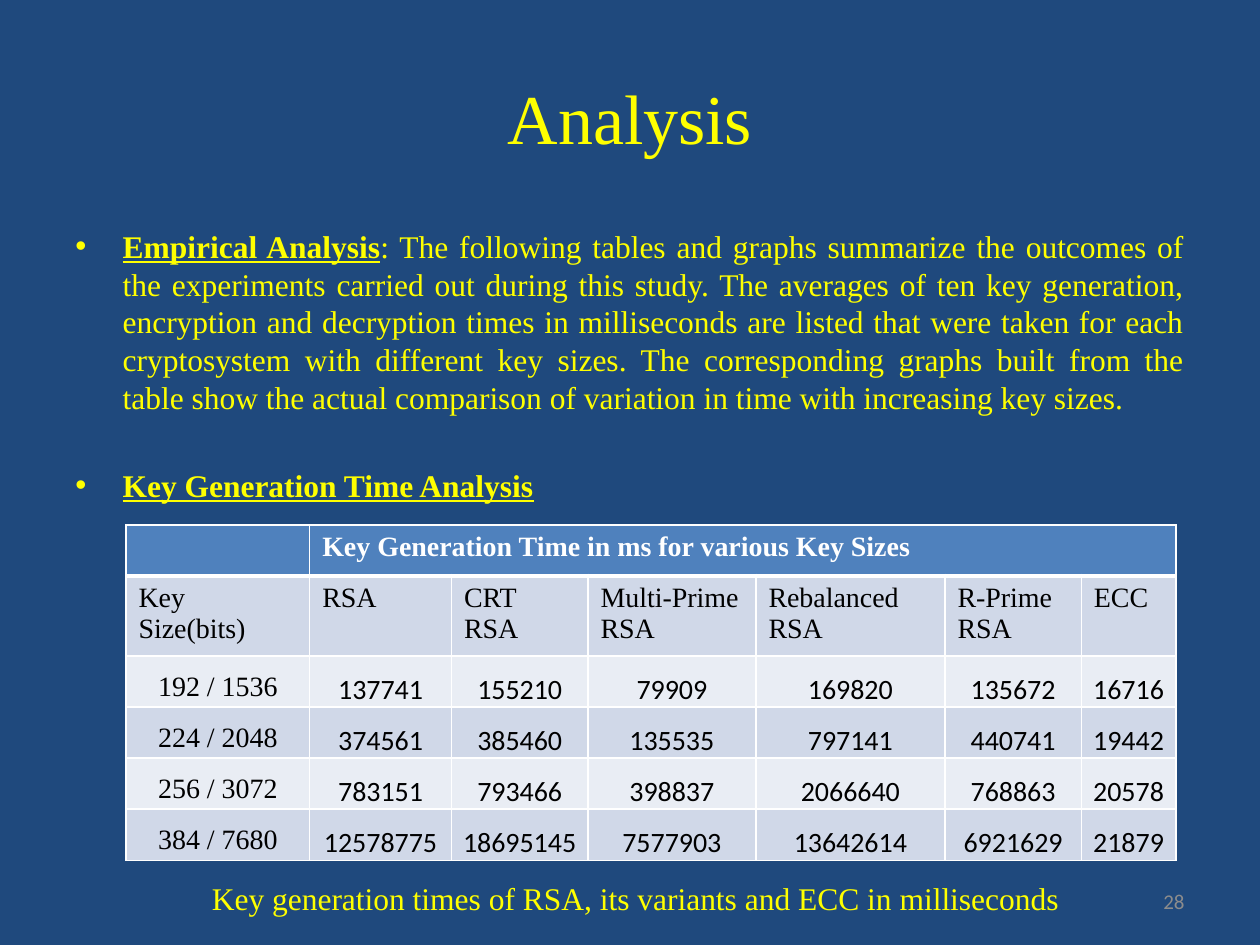
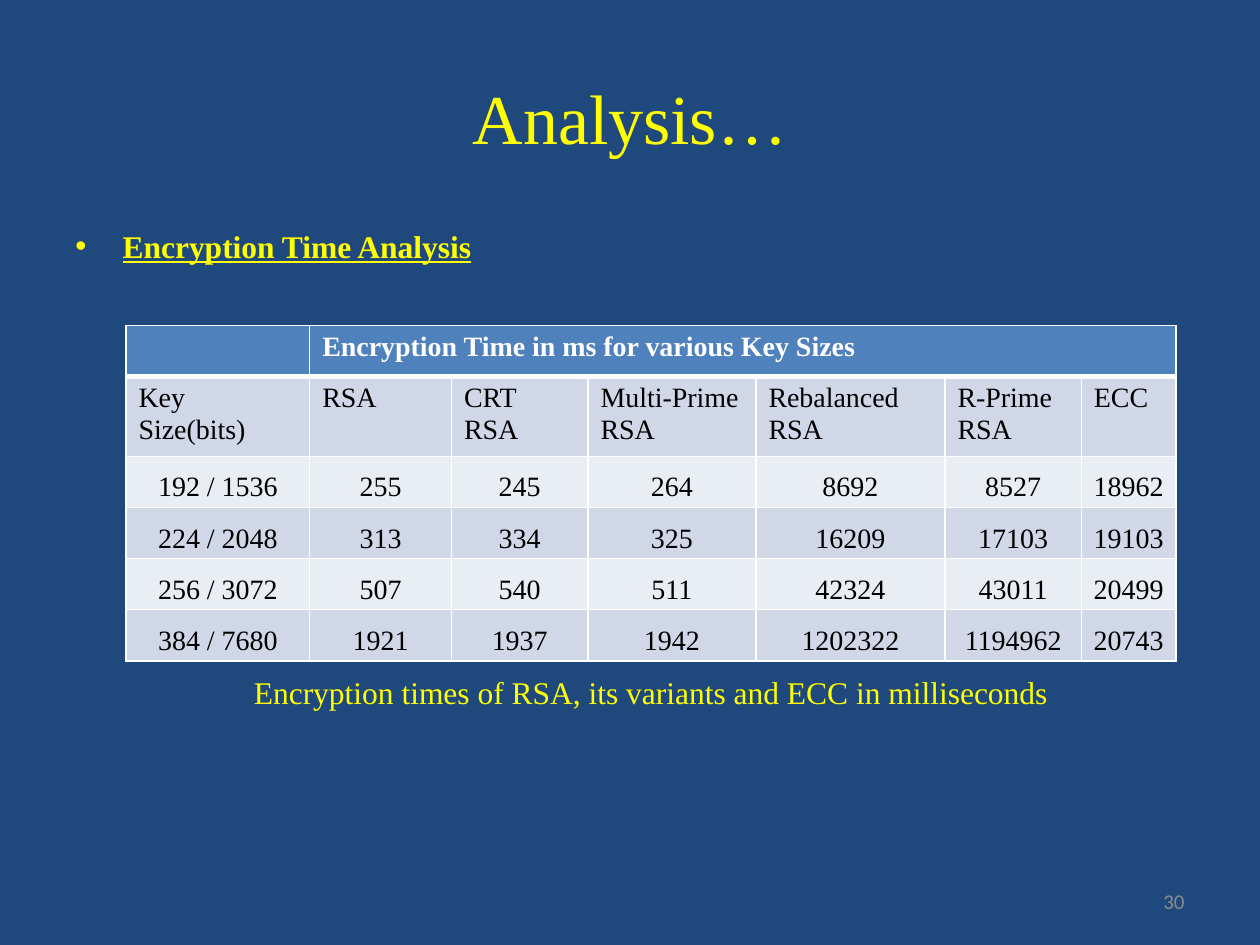
from lxml import etree
from pptx import Presentation
from pptx.dml.color import RGBColor
from pptx.enum import text as t
from pptx.oxml import ns
from pptx.util import Pt

SERIF, SANS = "Times New Roman", "Calibri"
NAVY, YELLOW, GREY = "1F497D", "FFFF00", "8C8C8C"
WHITE, BLACK, HEADER = "FFFFFF", "000000", "4F81BD"
BANDS = ("D0D8E8", "E9EDF4")
LEFT, CENTER = t.PP_ALIGN.LEFT, t.PP_ALIGN.CENTER
RIGHT, JUSTIFY = t.PP_ALIGN.RIGHT, t.PP_ALIGN.JUSTIFY
TOP, MIDDLE = t.MSO_ANCHOR.TOP, t.MSO_ANCHOR.MIDDLE

TITLE_BOX = (36, 21.6, 648, 90)
BODY_LEFT, BODY_TOP, BODY_WIDTH = 36, 126, 648
NUMBER_BOX = (516, 500.5, 168, 28.75)
TABLE_LEFT = 72
COLUMN_WIDTHS = (105, 81, 78, 96, 108, 78, 54)
ROW_HEIGHT, SYSTEMS_ROW_HEIGHT = 29.2, 42.4
SYSTEMS = ("Key Size(bits)", "RSA", "CRT RSA", "Multi-Prime RSA",
           "Rebalanced RSA", "R-Prime RSA", "ECC")
KEY_SIZES = ("192 / 1536", "224 / 2048", "256 / 3072", "384 / 7680")

KEY_GENERATION_TIMES = (
    (137741, 155210, 79909, 169820, 135672, 16716),
    (374561, 385460, 135535, 797141, 440741, 19442),
    (783151, 793466, 398837, 2066640, 768863, 20578),
    (12578775, 18695145, 7577903, 13642614, 6921629, 21879),
)
ENCRYPTION_TIMES = (
    (255, 245, 264, 8692, 8527, 18962),
    (313, 334, 325, 16209, 17103, 19103),
    (507, 540, 511, 42324, 43011, 20499),
    (1921, 1937, 1942, 1202322, 1194962, 20743),
)
EMPIRICAL_SUMMARY = (
    ": The following tables and graphs summarize the outcomes of the experiments "
    "carried out during this study. The averages of ten key generation, encryption "
    "and decryption times in milliseconds are listed that were taken for each "
    "cryptosystem with different key sizes. The corresponding graphs built from the "
    "table show the actual comparison of variation in time with increasing key sizes."
)


def rgb(hex_code):
    """Turn a hex string into a colour."""
    return RGBColor.from_string(hex_code)


def write(paragraph, words, size=18, font=SERIF, color=YELLOW, bold=False,
          underline=False, align=LEFT, before=None, after=None, spacing=None):
    """Add a formatted run to a paragraph and set the paragraph's layout."""
    run = paragraph.add_run()
    run.text = words
    run.font.size, run.font.name = Pt(size), font
    run.font.bold, run.font.underline = bold, underline
    run.font.color.rgb = rgb(color)
    paragraph.alignment = align
    if before is not None:
        paragraph.space_before = Pt(before)
    if after is not None:
        paragraph.space_after = Pt(after)
    if spacing is not None:
        paragraph.line_spacing = spacing


def place(shape, box):
    """Move a shape to a left, top, width, height box."""
    shape.left, shape.top, shape.width, shape.height = map(Pt, box)


def add_text_frame(slide, box, anchor=TOP):
    """Add a wrapping text box and return its frame."""
    frame = slide.shapes.add_textbox(*map(Pt, box)).text_frame
    frame.word_wrap, frame.vertical_anchor = True, anchor
    return frame


def add_bullet(paragraph, heading, detail="", before=3.6):
    """Fill a bulleted paragraph with an underlined heading and its detail."""
    write(paragraph, heading, bold=True, underline=True, align=JUSTIFY, before=before)
    if detail:
        write(paragraph, detail, align=JUSTIFY)
    properties = paragraph._p.get_or_add_pPr()
    properties.set("marL", str(Pt(27)))
    properties.set("indent", str(-Pt(27)))
    font = etree.SubElement(properties, ns.qn("a:buFont"))
    font.set("typeface", "Arial")
    etree.SubElement(properties, ns.qn("a:buChar")).set("char", "•")


def add_body(slide, height, bullets):
    """Place the bulleted body below the title."""
    frame = add_text_frame(slide, (BODY_LEFT, BODY_TOP, BODY_WIDTH, height))
    for index, bullet in enumerate(bullets):
        paragraph = frame.add_paragraph() if index else frame.paragraphs[0]
        add_bullet(paragraph, *bullet, before=28.6 if index else 3.6)


def style_cell(cell, fill, top=1, bottom=1):
    """Fill a cell and draw its white borders."""
    cell.fill.solid()
    cell.fill.fore_color.rgb = rgb(fill)
    properties = cell._tc.get_or_add_tcPr()
    borders = (("lnL", 1), ("lnR", 1), ("lnT", top), ("lnB", bottom))
    for index, (side, width) in enumerate(borders):
        line = etree.Element(ns.qn(f"a:{side}"), w=str(Pt(width)))
        solid = etree.SubElement(line, ns.qn("a:solidFill"))
        etree.SubElement(solid, ns.qn("a:srgbClr"), val=WHITE)
        properties.insert(index, line)


def add_times_table(slide, top, heading, times, font):
    """Place the table of times per key size and cryptosystem."""
    heights = [ROW_HEIGHT, SYSTEMS_ROW_HEIGHT] + [ROW_HEIGHT] * len(times)
    table = slide.shapes.add_table(
        len(heights), len(COLUMN_WIDTHS), Pt(TABLE_LEFT), Pt(top),
        Pt(sum(COLUMN_WIDTHS)), Pt(sum(heights))).table
    table.first_row = table.horz_banding = False
    for column, width in zip(table.columns, COLUMN_WIDTHS):
        column.width = Pt(width)
    for row, height in zip(table.rows, heights):
        row.height = Pt(height)

    for cell in table.rows[0].cells:
        style_cell(cell, HEADER, bottom=3)
    table.cell(0, 1).merge(table.cell(0, len(COLUMN_WIDTHS) - 1))
    write(table.cell(0, 1).text_frame.paragraphs[0], heading,
          size=16, color=WHITE, bold=True)

    for cell, system in zip(table.rows[1].cells, SYSTEMS):
        style_cell(cell, BANDS[0], top=3)
        write(cell.text_frame.paragraphs[0], system, size=16, color=BLACK)

    for index, (key_size, values) in enumerate(zip(KEY_SIZES, times), start=1):
        for column, value in enumerate((key_size, *values)):
            cell = table.cell(index + 1, column)
            style_cell(cell, BANDS[index % 2])
            cell.margin_left = cell.margin_right = Pt(5)
            cell.margin_top = cell.margin_bottom = 0
            write(cell.text_frame.paragraphs[0], str(value), size=16,
                  font=font if column else SERIF, color=BLACK,
                  align=CENTER, after=10, spacing=1.5)


def add_caption(slide, box, words):
    """Place the caption under the table."""
    frame = add_text_frame(slide, box)
    frame.auto_size = t.MSO_AUTO_SIZE.SHAPE_TO_FIT_TEXT
    write(frame.paragraphs[0], words)


def add_analysis_slide(deck, title, number):
    """Add a navy slide with its title and page number."""
    slide = deck.slides.add_slide(deck.slide_layouts.get_by_name("Title Only"))
    slide.background.fill.solid()
    slide.background.fill.fore_color.rgb = rgb(NAVY)
    place(slide.shapes.title, TITLE_BOX)
    frame = slide.shapes.title.text_frame
    frame.vertical_anchor = MIDDLE
    write(frame.paragraphs[0], title, size=40, align=CENTER)
    page = add_text_frame(slide, NUMBER_BOX, MIDDLE)
    write(page.paragraphs[0], str(number), size=12, font=SANS, color=GREY, align=RIGHT)
    return slide


def main():
    """Build and save the two analysis slides."""
    deck = Presentation()
    deck.slide_width, deck.slide_height = Pt(720), Pt(540)

    generation = add_analysis_slide(deck, "Analysis", 28)
    add_body(generation, 168, [("Empirical Analysis", EMPIRICAL_SUMMARY),
                               ("Key Generation Time Analysis",)])
    add_times_table(generation, 300, "Key Generation Time in ms for various Key Sizes",
                    KEY_GENERATION_TIMES, SANS)
    add_caption(generation, (114, 499, 570, 29),
                "Key generation times of RSA, its variants and ECC in milliseconds")

    encryption = add_analysis_slide(deck, "Analysis…", 30)
    add_body(encryption, 356.4, [("Encryption Time Analysis",)])
    add_times_table(encryption, 186, "Encryption Time in ms for various Key Sizes",
                    ENCRYPTION_TIMES, SERIF)
    add_caption(encryption, (138, 381, 516, 29),
                "Encryption times of RSA, its variants and ECC in milliseconds")

    deck.save("out.pptx")


if __name__ == "__main__":
    main()
